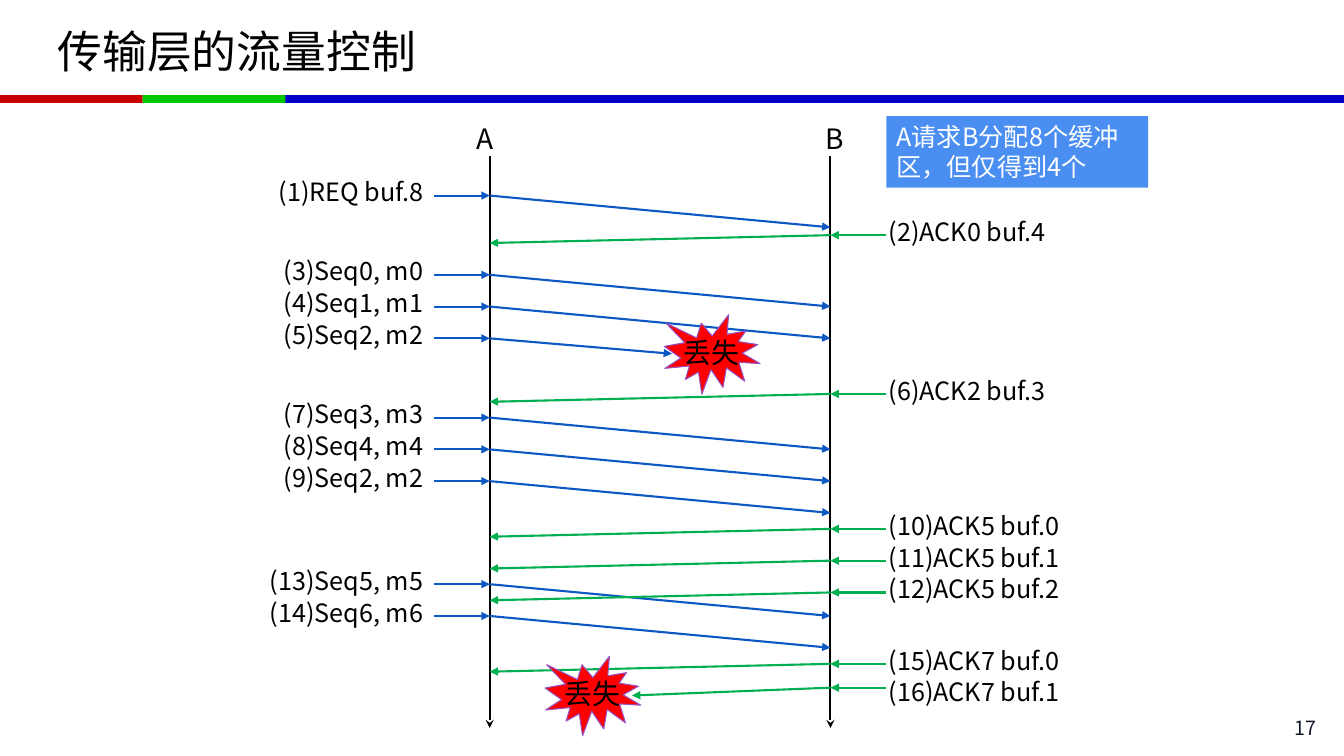
"""Sequence diagram slide on transport-layer flow control between A and B."""
import lxml.etree
import pptx
import pptx.dml.color
import pptx.enum.shapes
import pptx.enum.text
import pptx.oxml.ns
import pptx.util

Pt = pptx.util.Pt
Shape = pptx.enum.shapes.MSO_SHAPE
Align = pptx.enum.text.PP_ALIGN
Anchor = pptx.enum.text.MSO_ANCHOR
Color = pptx.dml.color.RGBColor.from_string
qn = pptx.oxml.ns.qn
FONT = "Noto Sans CJK SC"
COLORS = {
    "black": "000000", "white": "FFFFFF", "number": "12192B",
    "bar red": "C80000", "bar green": "00C800", "bar blue": "0000C8",
    "send": "0E58C4", "reply": "00B050", "note": "4A8EF2",
    "burst": "FF0000", "burst edge": "9454C3",
}

deck = pptx.Presentation()
deck.slide_width, deck.slide_height = Pt(960), Pt(540)
page = deck.slides.add_slide(deck.slide_layouts[6])


def write(text, place, size, color="black", align=Align.LEFT, anchor=Anchor.TOP,
          preset=None, fill=None, edge=None, wrap=True):
    area = [Pt(value) for value in place]
    if preset is None:
        box = page.shapes.add_textbox(*area)
    else:
        box = page.shapes.add_shape(preset, *area)
        box.shadow.inherit = False
        box.fill.solid()
        box.fill.fore_color.rgb = Color(COLORS[fill])
        if edge:
            box.line.color.rgb = Color(COLORS[edge])
            box.line.width = Pt(0.75)
        else:
            box.line.fill.background()
    if text:
        frame = box.text_frame
        frame.word_wrap = wrap
        frame.vertical_anchor = anchor
        para = frame.paragraphs[0]
        para.text = text
        para.alignment = align
        para.font.size = Pt(size)
        para.font.name = FONT
        para.font.color.rgb = Color(COLORS[color])
        properties = para._p.pPr.find(qn("a:defRPr"))
        lxml.etree.SubElement(properties, qn("a:ea"), typeface=FONT)


def arrow(x1, y1, x2, y2, color, head="triangle"):
    line = page.shapes.add_connector(
        pptx.enum.shapes.MSO_CONNECTOR.STRAIGHT, Pt(x1), Pt(y1), Pt(x2), Pt(y2))
    line.line.color.rgb = Color(COLORS[color])
    line.line.width = Pt(1.5)
    lxml.etree.SubElement(line.line._get_or_add_ln(), qn("a:tailEnd"), type=head)
    lxml.etree.SubElement(line._element.spPr, qn("a:effectLst"))


for left, width, color in [(201, 759, "bar blue"), (0, 102, "bar red"), (102, 102, "bar green")]:
    write("", (left, 68, width, 5.5), 0, preset=Shape.RECTANGLE, fill=color)
write("17", (854, 508, 93.5, 20), 14, "number", Align.RIGHT)
write("传输层的流量控制", (34, 6, 892, 60), 32, anchor=Anchor.MIDDLE)

A_X, B_X = 349.8, 593.2
SEND_X, REPLY_X = 309.8, 633.2
for name, x, left in [("A", A_X, 332.7), ("B", B_X, 582)]:
    arrow(x, 111.5, x, 520, "black", "stealth")
    write(name, (left, 83, 28, 31), 20, align=Align.CENTER)

sends = [
    ("(1)REQ buf.8", 139.7), ("(3)Seq0, m0", 196.3), ("(4)Seq1, m1", 219), ("(5)Seq2, m2", 241.7),
    ("(7)Seq3, m3", 298.3), ("(8)Seq4, m4", 321), ("(9)Seq2, m2", 343.7),
    ("(13)Seq5, m5", 417.3), ("(14)Seq6, m6", 440),
]
for text, y in sends:
    lost = text.startswith("(5)")
    arrow(SEND_X, y, A_X, y, "send")
    arrow(A_X, y, 480 if lost else B_X, y + (11 if lost else 22.7), "send")
    write(text, (151, y - 17.2, 158.5, 29), 18, align=Align.RIGHT)

replies = [
    ("(2)ACK0 buf.4", 168), ("(6)ACK2 buf.3", 281.4), ("(10)ACK5 buf.0", 377.8),
    ("(11)ACK5 buf.1", 400.5), ("(12)ACK5 buf.2", 423.2), ("(15)ACK7 buf.0", 474.2),
    ("(16)ACK7 buf.1", 491.2),
]
for text, y in replies:
    lost = text.startswith("(16)")
    arrow(REPLY_X, y, B_X, y, "reply")
    arrow(B_X, y, 451.5 if lost else A_X, y + 5.6, "reply")
    write(text, (627.8, y - (11.5 if lost else 17), 193, 29), 18)

write("A请求B分配8个缓冲区，但仅得到4个", (633.2, 83, 187, 51), 18, "white",
      preset=Shape.RECTANGLE, fill="note")
for left, top in [(474.5, 224.8), (389.3, 468.8)]:
    write("丢失", (left, top, 68.4, 56.8), 20, align=Align.CENTER, anchor=Anchor.MIDDLE,
          preset=Shape.EXPLOSION1, fill="burst", edge="burst edge", wrap=False)

deck.save("out.pptx")
